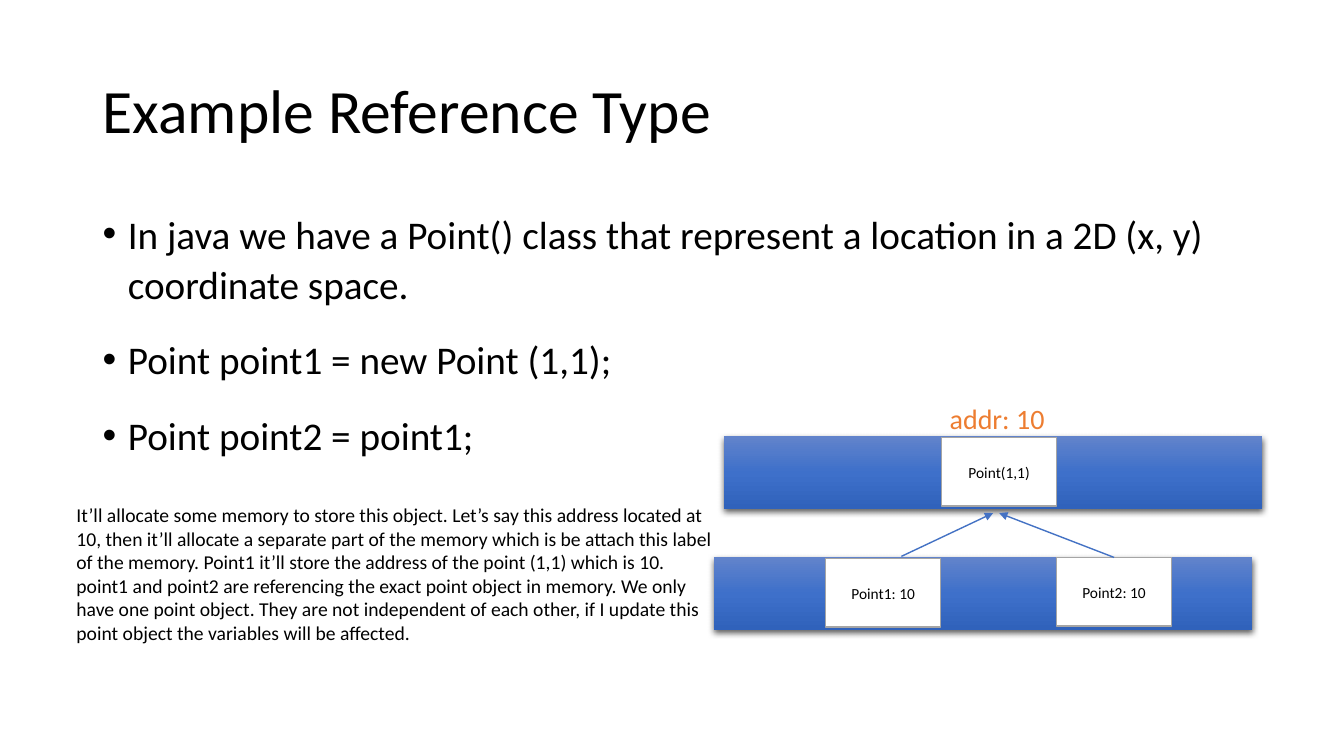
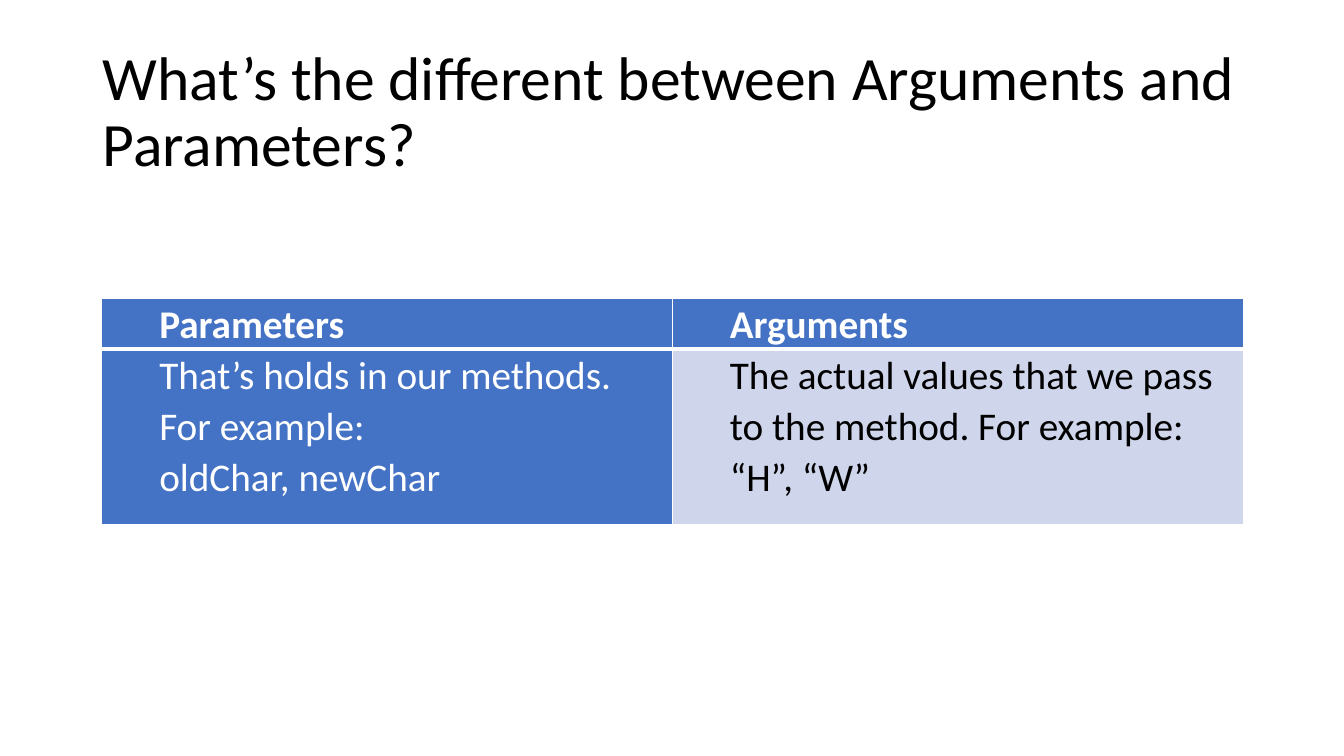
from copy import deepcopy
from dataclasses import dataclass

from lxml.etree import SubElement
from pptx import Presentation
from pptx.dml.color import RGBColor
from pptx.enum.shapes import MSO_CONNECTOR, MSO_SHAPE
from pptx.enum.text import MSO_ANCHOR, PP_ALIGN
from pptx.oxml.ns import qn
from pptx.util import Inches, Pt


@dataclass(frozen=True)
class Theme:
    font: str = "Calibri"
    black: str = "000000"
    white: str = "FFFFFF"
    blue: str = "4472C4"
    pale_blue: str = "CFD5EA"
    orange: str = "ED7D31"
    gray: str = "A5A5A5"
    band_stops: tuple = ((0, "6183CB"), (0.5, "3E70CA"), (1, "3062BB"))
    title_size: int = 44
    body_size: int = 28
    address_size: int = 20
    note_size: int = 14
    label_size: int = 11


theme = Theme()


def write(frame, *lines, size, color=theme.black, bold=False, align=PP_ALIGN.LEFT,
          anchor=MSO_ANCHOR.TOP, spacing=1.07, before=0, after=8, indent=0, bullet=False):
    frame.word_wrap = True
    frame.vertical_anchor = anchor
    for index, line in enumerate(lines):
        para = frame.add_paragraph() if index else frame.paragraphs[0]
        para.alignment = align
        para.line_spacing = spacing
        para.space_before = Pt(before)
        para.space_after = Pt(after)
        properties = para._p.get_or_add_pPr()
        properties.set("marL", str(Inches(indent)))
        if bullet:
            properties.set("indent", str(-Inches(indent)))
            SubElement(properties, qn("a:buFont"), typeface="Arial")
            SubElement(properties, qn("a:buChar"), char="•")
        span = para.add_run()
        span.text = line
        span.font.name = theme.font
        span.font.size = Pt(size)
        span.font.bold = bold
        span.font.color.rgb = RGBColor.from_string(color)


deck = Presentation()
deck.slide_width = Inches(13.33)
deck.slide_height = Inches(7.5)

titles = ["Example Reference Type", "What’s the different between Arguments and Parameters?"]
pages = []
for title in titles:
    page = deck.slides.add_slide(deck.slide_layouts[6])
    box = page.shapes.add_textbox(Inches(0.92), Inches(0.4), Inches(11.5), Inches(1.45))
    write(box.text_frame, title, size=theme.title_size, anchor=MSO_ANCHOR.MIDDLE,
          spacing=0.9, after=0)
    pages.append(page)
reference_page, comparison_page = pages

body = reference_page.shapes.add_textbox(Inches(0.92), Inches(2), Inches(11.5), Inches(4.76))
write(body.text_frame,
      "In java we have a Point() class that represent a location in a 2D (x, y) coordinate space.",
      "Point point1 = new Point (1,1);",
      "Point point2 = point1;",
      size=theme.body_size, before=10, indent=0.25, bullet=True)

for left, top in [(7.18, 4.33), (7.08, 5.53)]:
    band = reference_page.shapes.add_shape(
        MSO_SHAPE.RECTANGLE, Inches(left), Inches(top), Inches(5.34), Inches(0.72))
    band.line.fill.background()
    band.fill.gradient()
    band.fill.gradient_angle = 270
    stop_list = band._element.spPr.find(".//" + qn("a:gsLst"))
    stop_list.append(deepcopy(stop_list[-1]))
    for stop, (position, color) in zip(band.fill.gradient_stops, theme.band_stops):
        stop.position = position
        stop.color.rgb = RGBColor.from_string(color)
    band.shadow.inherit = False
    effects = band._element.spPr.find(qn("a:effectLst"))
    shadow = SubElement(effects, qn("a:outerShdw"), blurRad=str(Pt(4.5)), dist=str(Pt(1.5)),
                        dir="5400000", algn="ctr", rotWithShape="0")
    shadow_color = SubElement(shadow, qn("a:srgbClr"), val=theme.black)
    SubElement(shadow_color, qn("a:alpha"), val="63000")

memory_cells = {}
for label, left, top in [("Point(1,1)", 9.34, 4.34), ("Point1: 10", 8.19, 5.54),
                         ("Point2: 10", 10.48, 5.53)]:
    cell = reference_page.shapes.add_shape(
        MSO_SHAPE.RECTANGLE, Inches(left), Inches(top), Inches(1.14), Inches(0.68))
    cell.shadow.inherit = False
    cell.fill.solid()
    cell.fill.fore_color.rgb = RGBColor.from_string(theme.white)
    cell.line.color.rgb = RGBColor.from_string(theme.gray)
    cell.line.width = Pt(1)
    write(cell.text_frame, label, size=theme.label_size, align=PP_ALIGN.CENTER,
          anchor=MSO_ANCHOR.MIDDLE)
    memory_cells[label] = cell

address = reference_page.shapes.add_textbox(Inches(9.32), Inches(3.91), Inches(1.54), Inches(0.54))
write(address.text_frame, "addr: 10", size=theme.address_size, color=theme.orange)

arrows = []
for start_x, start_y, end_x in [(8.94, 5.52, 9.85), (10.99, 5.53, 9.91)]:
    arrow = reference_page.shapes.add_connector(
        MSO_CONNECTOR.STRAIGHT, Inches(start_x), Inches(start_y), Inches(end_x), Inches(5.09))
    arrow.line.color.rgb = RGBColor.from_string(theme.blue)
    arrow.line.width = Pt(1)
    SubElement(arrow.line._get_or_add_ln(), qn("a:tailEnd"), type="triangle")
    SubElement(arrow._element.spPr, qn("a:effectLst"))
    arrows.append(arrow)
arrows[1].begin_connect(memory_cells["Point2: 10"], 0)

note = reference_page.shapes.add_textbox(Inches(0.66), Inches(4.94), Inches(6.67), Inches(1.82))
write(note.text_frame,
      "It’ll allocate some memory to store this object. Let’s say this address located at 10, "
      "then it’ll allocate a separate part of the memory which is be attach this label of the "
      "memory. Point1 it’ll store the address of the point (1,1) which is 10.",
      "point1 and point2 are referencing the exact point object in memory. We only have one "
      "point object. They are not independent of each other, if I update this point object "
      "the variables will be affected.",
      size=theme.note_size, spacing=1, after=0)

comparison = [
    [(["Parameters"], theme.blue, theme.white), (["Arguments"], theme.blue, theme.white)],
    [(["That’s holds in our methods. For example:", "oldChar, newChar"], theme.blue, theme.white),
     (["The actual values that we pass to the method. For example: “H”, “W”"],
      theme.pale_blue, theme.black)],
]
table = comparison_page.shapes.add_table(
    2, 2, Inches(1.01), Inches(2.96), Inches(11.32), Inches(2.16)).table
table.rows[0].height = Inches(0.42)
table.rows[1].height = Inches(1.74)
for row, entries in enumerate(comparison):
    for column, (lines, fill, color) in enumerate(entries):
        cell = table.cell(row, column)
        cell.margin_left = cell.margin_right = Inches(0.07)
        cell.margin_top = cell.margin_bottom = 0
        write(cell.text_frame, *lines, size=theme.body_size, color=color, bold=row == 0,
              after=8 * column, indent=0.5)
        properties = cell._tc.get_or_add_tcPr()
        for edge in ("lnL", "lnR", "lnT", "lnB"):
            width = 3 if (row, edge) in [(0, "lnB"), (1, "lnT")] else 1
            border = SubElement(properties, qn("a:" + edge), w=str(Pt(width)))
            border_fill = SubElement(border, qn("a:solidFill"))
            SubElement(border_fill, qn("a:srgbClr"), val=theme.white)
        cell.fill.solid()
        cell.fill.fore_color.rgb = RGBColor.from_string(fill)

deck.save("out.pptx")
